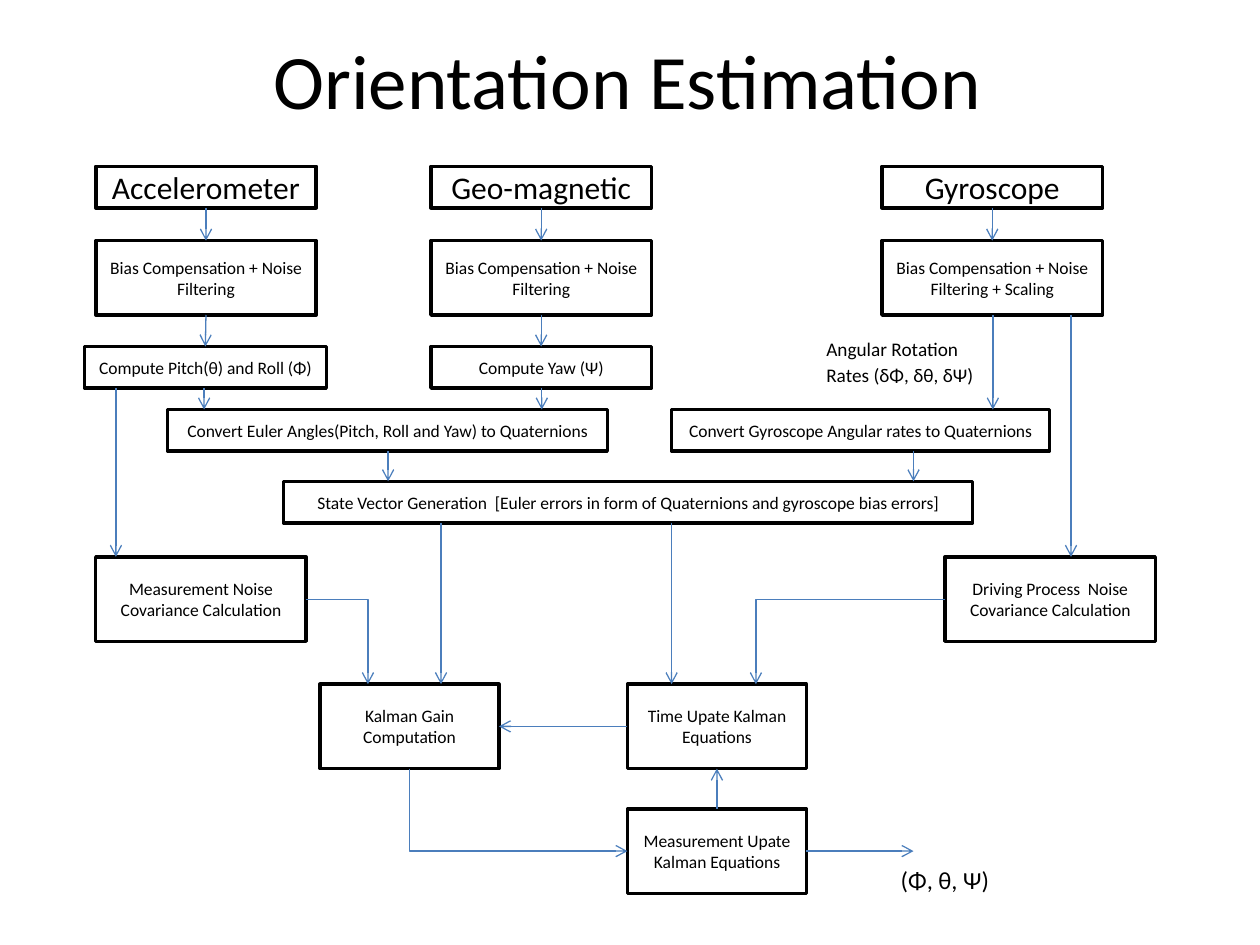
from dataclasses import dataclass

from lxml.etree import SubElement
from pptx import Presentation
from pptx.dml.color import RGBColor
from pptx.enum.shapes import MSO_CONNECTOR, MSO_SHAPE
from pptx.enum.text import MSO_ANCHOR, PP_ALIGN
from pptx.oxml.ns import qn
from pptx.util import Inches, Pt


@dataclass(frozen=True)
class Theme:
    font: str = "Calibri"
    ink: RGBColor = RGBColor(0, 0, 0)
    paper: RGBColor = RGBColor(255, 255, 255)
    arrow: RGBColor = RGBColor(0x4B, 0x7E, 0xBC)
    title: int = 44
    sensor: int = 18
    output: int = 14
    label: int = 11
    body: int = 10
    border: float = 2
    arrow_width: float = 0.75


TOP, LEFT, BOTTOM, RIGHT = range(4)  # connection sites of a rectangle


class Diagram:
    def __init__(self, slide, theme):
        self.slide, self.theme = slide, theme

    def set_text(self, shape, text, size, align, anchor, wrap=True):
        tf = shape.text_frame
        tf.text = text
        tf.word_wrap = wrap
        tf.vertical_anchor = anchor
        p = tf.paragraphs[0]
        p.alignment = align
        font = p.runs[0].font
        font.name, font.size = self.theme.font, Pt(size)
        font.color.rgb = self.theme.ink
        return p

    def text(self, x, y, w, h, text, size, align=PP_ALIGN.LEFT,
             anchor=MSO_ANCHOR.TOP, wrap=True):
        tb = self.slide.shapes.add_textbox(Inches(x), Inches(y), Inches(w), Inches(h))
        return self.set_text(tb, text, size, align, anchor, wrap)

    def box(self, x, y, w, h, text, size=None):
        s = self.slide.shapes.add_shape(
            MSO_SHAPE.RECTANGLE, Inches(x), Inches(y), Inches(w), Inches(h))
        s.shadow.inherit = False
        s.fill.solid()
        s.fill.fore_color.rgb = self.theme.paper
        s.line.color.rgb = self.theme.ink
        s.line.width = Pt(self.theme.border)
        self.set_text(s, text, size or self.theme.body, PP_ALIGN.CENTER, MSO_ANCHOR.MIDDLE)
        return s

    def arrow(self, x1, y1, x2, y2, kind=MSO_CONNECTOR.STRAIGHT):
        c = self.slide.shapes.add_connector(kind, x1, y1, x2, y2)
        c.line.color.rgb = self.theme.arrow
        c.line.width = Pt(self.theme.arrow_width)
        sp_pr = c._element.spPr
        SubElement(sp_pr.find(qn("a:ln")), qn("a:tailEnd"), type="arrow")
        SubElement(sp_pr, qn("a:effectLst"))
        return c

    def link(self, a, a_site, b, b_site):
        """Straight arrow glued to the middle of two box sides."""
        c = self.arrow(0, 0, 0, 0)
        c.begin_connect(a, a_site)
        c.end_connect(b, b_site)

    def drop(self, a, b, x):
        """Vertical arrow from the bottom of a to the top of b."""
        self.arrow(Inches(x), a.top + a.height, Inches(x), b.top)

    def elbow(self, x1, y1, x2, y2, down_first=False):
        """Arrow with one right-angled bend."""
        if down_first:  # turn the sideways-first elbow about its centre
            cx, cy = (x1 + x2) // 2, (y1 + y2) // 2
            dx, dy = (x2 - x1) // 2, (y2 - y1) // 2
            x1, y1, x2, y2 = cx + dy, cy - dx, cx - dy, cy + dx
        c = self.arrow(x1, y1, x2, y2, MSO_CONNECTOR.ELBOW)
        c._element.spPr.find(qn("a:prstGeom")).set("prst", "bentConnector2")
        if down_first:
            c._element.spPr.find(qn("a:xfrm")).set("rot", str(270 * 60000))


prs = Presentation()
prs.slide_width, prs.slide_height = Inches(10), Inches(7.5)
theme = Theme()
d = Diagram(prs.slides.add_slide(prs.slide_layouts[6]), theme)

d.text(0.48, 0, 9, 1.25, "Orientation Estimation", theme.title,
       PP_ALIGN.CENTER, MSO_ANCHOR.MIDDLE)

# Sensor columns: sensor above its filter
BAR, BLOCK = 0.33, 0.67
FILTER = "Bias Compensation + Noise Filtering"
filters = []
for x, sensor, step in [(0.76, "Accelerometer", FILTER),
                        (3.42, "Geo-magnetic", FILTER),
                        (7, "Gyroscope", FILTER + " + Scaling")]:
    source = d.box(x, 1.32, 1.75, BAR, sensor, theme.sensor)
    filters.append(d.box(x, 1.91, 1.75, 0.59, step))
    d.link(source, BOTTOM, filters[-1], TOP)
accel, magnet, gyro = filters

# Angles, quaternions and state vector
pitch_roll = d.box(0.67, 2.75, 1.92, BAR, "Compute Pitch(θ) and Roll (Φ)")
yaw = d.box(3.42, 2.75, 1.75, BAR, "Compute Yaw (Ψ)")
euler = d.box(1.33, 3.25, 3.49, BAR,
              "Convert Euler Angles(Pitch, Roll and Yaw) to Quaternions")
rates = d.box(5.33, 3.25, 3, BAR, "Convert Gyroscope Angular rates to Quaternions")
state = d.box(2.25, 3.82, 5.47, BAR, "State Vector Generation  [Euler errors in form "
              "of Quaternions and gyroscope bias errors]")

p = d.text(6.46, 2.6, 1.4, 0.66, "Angular Rotation Rates (δΦ, δθ, δΨ)", theme.label)
p.line_spacing, p.space_after = 1.15, Pt(10)

# Kalman filter
meas_noise = d.box(0.76, 4.42, 1.67, BLOCK, "Measurement Noise Covariance Calculation")
drive_noise = d.box(7.5, 4.42, 1.67, BLOCK, "Driving Process  Noise Covariance Calculation")
gain = d.box(2.54, 5.43, 1.42, BLOCK, "Kalman Gain Computation")
time_update = d.box(4.98, 5.43, 1.42, BLOCK, "Time Upate Kalman Equations")
meas_update = d.box(4.98, 6.42, 1.42, BLOCK, "Measurement Upate Kalman Equations")

# Straight arrows
for a, a_site, b, b_site in [(accel, BOTTOM, pitch_roll, TOP),
                             (magnet, BOTTOM, yaw, TOP),
                             (meas_update, TOP, time_update, BOTTOM),
                             (time_update, LEFT, gain, RIGHT)]:
    d.link(a, a_site, b, b_site)
for a, b, x in [(pitch_roll, euler, 1.62), (yaw, euler, 4.3), (gyro, rates, 7.88),
                (euler, state, 3.08), (rates, state, 7.25),
                (pitch_roll, meas_noise, 0.92), (gyro, drive_noise, 8.5),
                (state, gain, 3.5), (state, time_update, 5.33)]:
    d.drop(a, b, x)

# Bent arrows
noise_y = meas_noise.top + meas_noise.height // 2
update_y = meas_update.top + meas_update.height // 2
d.elbow(meas_noise.left + meas_noise.width, noise_y, Inches(2.92), gain.top)
d.elbow(drive_noise.left, noise_y, Inches(6), time_update.top)
d.elbow(gain.left + gain.width // 2, gain.top + gain.height,
        meas_update.left, update_y, down_first=True)

# Output
d.arrow(meas_update.left + meas_update.width, update_y, Inches(7.25), update_y)
d.text(7.05, 6.82, 0.91, 0.34, "(Φ, θ, Ψ)", theme.output, wrap=False)

prs.save("out.pptx")
